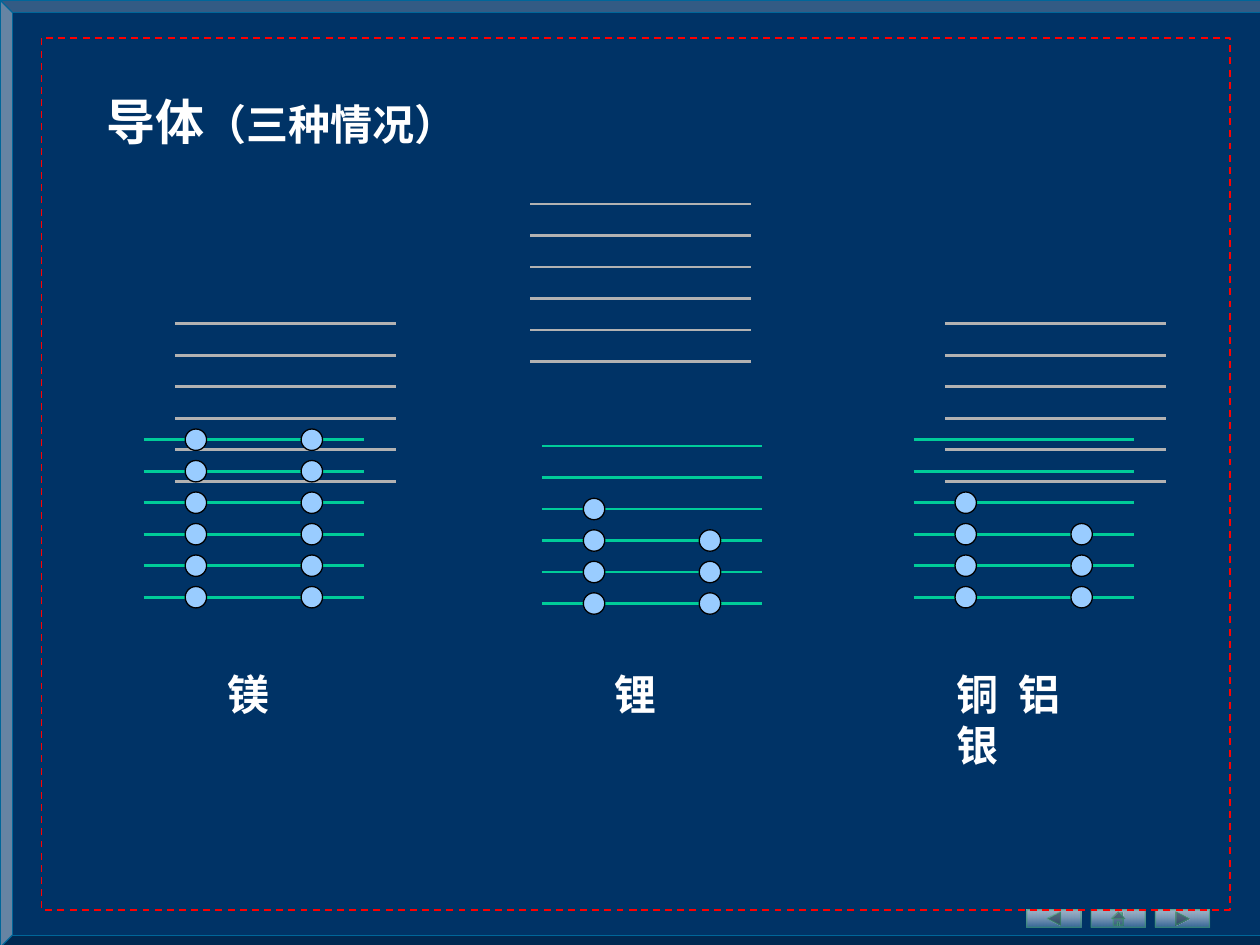
import pptx
import pptx.util
import pptx.dml.color
import pptx.enum.dml
import pptx.enum.shapes
import pptx.oxml.ns
from lxml import etree

Inches = pptx.util.Inches
Pt = pptx.util.Pt
RGBColor = pptx.dml.color.RGBColor
MSO_SHAPE = pptx.enum.shapes.MSO_SHAPE
qn = pptx.oxml.ns.qn

NAVY = RGBColor(0x00, 0x33, 0x66)
FRAME_BLUE = RGBColor(0x00, 0x66, 0x99)
BUTTON_BLUE = RGBColor(0x33, 0x66, 0x99)
BUTTON_LINE = RGBColor(0x33, 0x99, 0x66)
RED = RGBColor(0xFF, 0x00, 0x00)
WHITE = RGBColor(0xFF, 0xFF, 0xFF)
BLACK = RGBColor(0x00, 0x00, 0x00)
GRAY = RGBColor(0xB2, 0xB2, 0xB2)
GREEN = RGBColor(0x00, 0xCC, 0x99)
ELECTRON_BLUE = RGBColor(0x99, 0xCC, 0xFF)

FONT = "Times New Roman"
LEVEL_GAP = 0.25
LEVEL_WIDTH = 1.75
LEVEL_COUNT = 6
ELECTRON_SIZE = 0.17
ELECTRON_OFFSETS = (0.33, 1.25)

TITLE = [("导体", 28), ("（三种情况）", 24)]
# Band positions are (left, top); electrons are counted per level, top down.
CONDUCTORS = [
    {"names": ["锂"], "label": (4.78, 0.53), "empty": (4.21, 1.62),
     "filled": (4.30, 3.54), "electrons": (0, 0, 1, 2, 2, 2)},
    {"names": ["镁"], "label": (1.71, 0.53), "empty": (1.39, 2.57),
     "filled": (1.14, 3.49), "electrons": (2, 2, 2, 2, 2, 2)},
    {"names": ["铜", "铝", "银"], "label": (7.49, 1.5), "empty": (7.50, 2.57),
     "filled": (7.25, 3.49), "electrons": (0, 0, 1, 2, 2, 2)},
]
BUTTONS = [
    MSO_SHAPE.ACTION_BUTTON_BACK_OR_PREVIOUS,
    MSO_SHAPE.ACTION_BUTTON_HOME,
    MSO_SHAPE.ACTION_BUTTON_FORWARD_OR_NEXT,
]


def add_shape(shapes, preset, box, line_color, line_width, fill_color=None):
    shape = shapes.add_shape(preset, *map(Inches, box))
    shape.shadow.inherit = False
    if fill_color is None:
        shape.fill.background()
    else:
        shape.fill.solid()
        shape.fill.fore_color.rgb = fill_color
    shape.line.color.rgb = line_color
    shape.line.width = Pt(line_width)
    return shape


def set_opacity(parent, percents):
    """Give each colour below parent its opacity, in document order."""
    for color, percent in zip(parent.iter(qn("a:srgbClr")), percents):
        etree.SubElement(color, qn("a:alpha"), val=str(percent * 1000))


def add_button(shapes, preset, left):
    button = add_shape(shapes, preset, (left, 7.22, 0.43, 0.14), BUTTON_LINE, 0)
    button.fill.gradient()
    button.fill.gradient_angle = 270
    for stop, color, position in zip(button.fill.gradient_stops,
                                     (WHITE, BUTTON_BLUE), (0, 1)):
        stop.color.rgb = color
        stop.position = position
    set_opacity(button._element.spPr, (62, 89, 52))


def add_level(shapes, left, y, color):
    level = shapes.add_connector(
        pptx.enum.shapes.MSO_CONNECTOR.STRAIGHT,
        Inches(left), Inches(y), Inches(left + LEVEL_WIDTH), Inches(y))
    level.line.color.rgb = color
    level.line.width = Pt(1.5)
    etree.SubElement(level._element.spPr, qn("a:effectLst"))


def add_bands(slide, conductor):
    shapes = slide.shapes.add_group_shape().shapes
    left, top = conductor["empty"]
    for row in range(LEVEL_COUNT):
        add_level(shapes, left, top + row * LEVEL_GAP, GRAY)
    left, top = conductor["filled"]
    for row, count in enumerate(conductor["electrons"]):
        y = top + row * LEVEL_GAP
        add_level(shapes, left, y, GREEN)
        for offset in ELECTRON_OFFSETS[:count]:
            add_shape(shapes, MSO_SHAPE.OVAL,
                      (left + offset, y - ELECTRON_SIZE / 2,
                       ELECTRON_SIZE, ELECTRON_SIZE),
                      BLACK, 0.75, ELECTRON_BLUE)


def add_text_box(slide, box, wrap):
    """Add a text box and return its paragraph."""
    frame = slide.shapes.add_textbox(*map(Inches, box)).text_frame
    frame.word_wrap = wrap
    return frame.paragraphs[0]


def add_run(paragraph, text, size):
    run = paragraph.add_run()
    run.text = text
    run.font.name = FONT
    run.font.size = Pt(size)
    run.font.bold = True
    run.font.color.rgb = WHITE
    return run


def add_label(slide, conductor):
    left, width = conductor["label"]
    paragraph = add_text_box(slide, (left, 5.26, width, 0.5), False)
    for index, name in enumerate(conductor["names"]):
        if index:
            space = add_run(paragraph, " ", 24)
            space.font._element.set("spc", "600")
        add_run(paragraph, name, 24)


def main():
    presentation = pptx.Presentation()
    presentation.slide_width = Inches(10)
    presentation.slide_height = Inches(7.5)
    slide = presentation.slides.add_slide(presentation.slide_layouts[6])

    bevel = add_shape(slide.shapes, MSO_SHAPE.BEVEL, (0, 0, 10.1, 7.52),
                      FRAME_BLUE, 0.75, NAVY)
    bevel.adjustments[0] = 0.013
    for index, preset in enumerate(BUTTONS):
        add_button(slide.shapes, preset, 8.15 + index * 0.51)
    border = add_shape(slide.shapes, MSO_SHAPE.RECTANGLE,
                       (0.33, 0.3, 9.43, 6.92), RED, 1)
    border.line.dash_style = pptx.enum.dml.MSO_LINE.DASH

    for conductor in CONDUCTORS:
        add_bands(slide, conductor)
        add_label(slide, conductor)

    title = add_text_box(slide, (0.75, 0.68, 3.69, 0.57), True)
    for text, size in TITLE:
        add_run(title, text, size)

    presentation.save("out.pptx")


if __name__ == "__main__":
    main()
